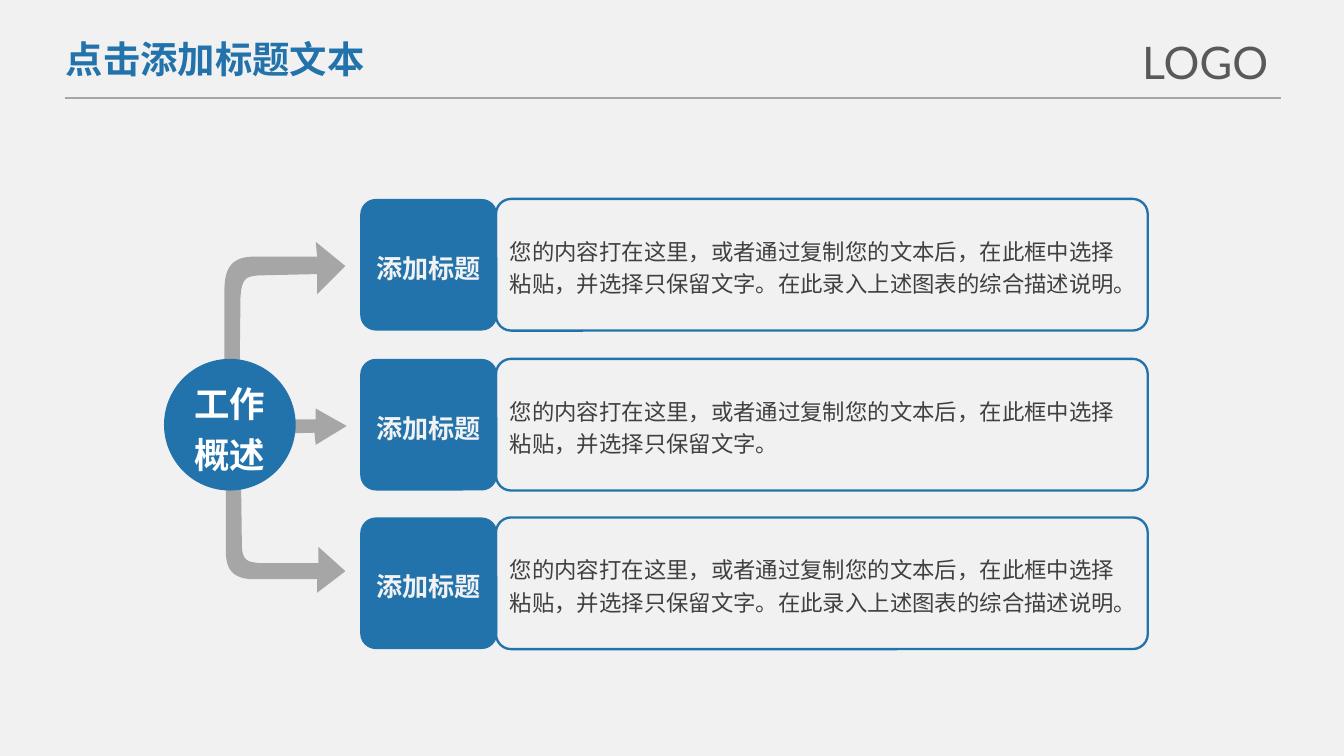
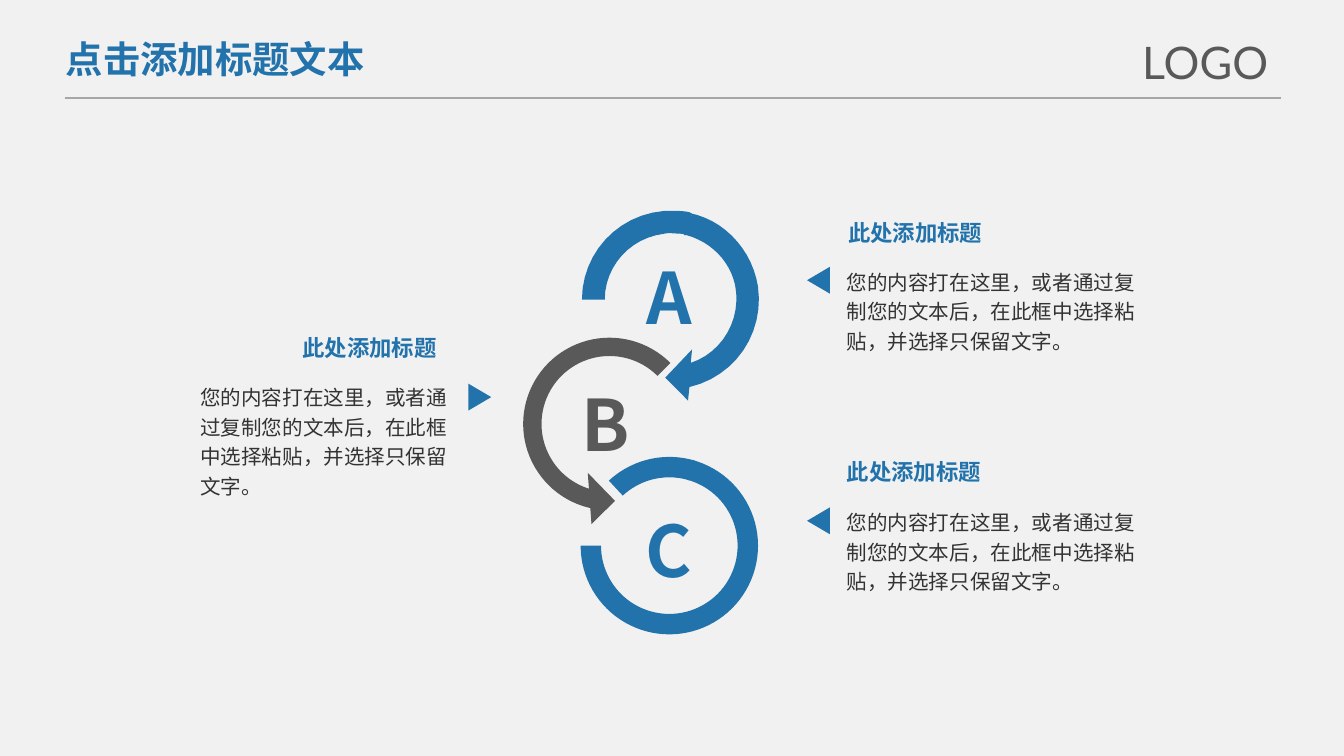
from lxml import etree
from pptx import Presentation
from pptx.dml.color import RGBColor
from pptx.enum.shapes import MSO_CONNECTOR, MSO_SHAPE
from pptx.enum.text import MSO_ANCHOR, PP_ALIGN
from pptx.oxml.ns import qn
from pptx.util import Inches, Pt

LEFT, CENTER, RIGHT = PP_ALIGN.LEFT, PP_ALIGN.CENTER, PP_ALIGN.RIGHT
TOP, MIDDLE = MSO_ANCHOR.TOP, MSO_ANCHOR.MIDDLE
STRAIGHT = MSO_CONNECTOR.STRAIGHT
ROUNDED, OVAL = MSO_SHAPE.ROUNDED_RECTANGLE, MSO_SHAPE.OVAL
TRIANGLE, BLOCK_ARC = MSO_SHAPE.ISOSCELES_TRIANGLE, MSO_SHAPE.BLOCK_ARC
LEFT_CIRCULAR_ARROW = MSO_SHAPE.LEFT_CIRCULAR_ARROW

# Theme
BLUE, GRAY, DARK = "2272AB", "A6A6A6", "595959"
BACKGROUND, LIGHT, WHITE = "F1F1F1", "F2F2F2", "FFFFFF"
CARD_TEXT, NOTE_TEXT = "404040", "333333"
CJK, ARIAL, LATO = "Noto Sans CJK SC", "Arial", "Lato"
SNUG, SPACED = 1.2, 1.44  # line pitch as a multiple of the text size
SHAPE_INSETS, BOX_INSETS, NOTE_INSETS = (0.07, 0.03), (0.1, 0.05), (0.07, 0.04)

BODY = "您的内容打在这里，或者通过复制您的文本后，在此框中选择粘贴，并选择只保留文字。"
LONG_BODY = BODY + "在此录入上述图表的综合描述说明。"

# Outlines in inches: two numbers make a line, six a cubic curve
ARROW_DOWN = [
    (1.79, 3.31), (1.8, 4.05), (1.8, 4.18, 1.85, 4.18, 1.93, 4.19),
    (2.37, 4.19), (2.37, 4.07), (2.57, 4.25), (2.36, 4.41), (2.36, 4.31),
    (2.36, 4.31, 2.07, 4.31, 1.9, 4.31), (1.73, 4.31, 1.68, 4.24, 1.68, 4.09),
    (1.68, 3.29), (1.69, 3.16, 1.76, 3.17, 1.79, 3.31)]
ARROW_MIDDLE = [(1.51, 3.24), (2.34, 3.22), (2.35, 3.31), (2.58, 3.17),
                (2.35, 3.04), (2.35, 3.12), (1.51, 3.12)]
ARROW_UP = [
    (1.78, 3.07), (1.79, 2.21), (1.8, 2.06, 1.84, 2.06, 1.92, 2.05),
    (2.36, 2.04), (2.36, 2.19), (2.57, 1.98), (2.35, 1.8), (2.36, 1.91),
    (2.36, 1.91, 2.06, 1.91, 1.89, 1.91), (1.73, 1.91, 1.67, 1.99, 1.67, 2.16),
    (1.67, 3.09), (1.69, 3.24, 1.76, 3.23, 1.78, 3.07)]
RING_A_ARROW = [
    (5.15, 1.59), (5.19, 1.6), (5.42, 1.67, 5.6, 1.88, 5.64, 2.13),
    (5.69, 2.48, 5.47, 2.8, 5.13, 2.88), (5.12, 2.98), (4.95, 2.81),
    (5.15, 2.6), (5.14, 2.7), (5.38, 2.62, 5.52, 2.37, 5.47, 2.12),
    (5.43, 1.94, 5.29, 1.8, 5.11, 1.75), (5.09, 1.75)]
RING_A_TAIL = [
    (5.01, 1.57), (5.05, 1.57, 5.09, 1.57, 5.13, 1.58), (5.15, 1.59),
    (5.1, 1.75), (5.08, 1.74), (5.03, 1.74, 4.98, 1.73, 4.94, 1.74),
    (4.69, 1.77, 4.5, 1.98, 4.5, 2.23), (4.33, 2.23),
    (4.33, 1.89, 4.59, 1.6, 4.94, 1.57), (4.96, 1.57, 4.98, 1.57, 5.01, 1.57)]


def color(hex_value):
    return RGBColor.from_string(hex_value)


def paint(sp, fill=None, line=None, width=1.25):
    sp.shadow.inherit = False
    if fill:
        sp.fill.solid()
        sp.fill.fore_color.rgb = color(fill)
    else:
        sp.fill.background()
    if line:
        sp.line.color.rgb = color(line)
        sp.line.width = Pt(width)
    else:
        sp.line.fill.background()


def write(sp, lines, size, hex_value, font=CJK, bold=False, align=LEFT,
          anchor=TOP, insets=BOX_INSETS, pitch=None):
    tf = sp.text_frame
    tf.word_wrap = True
    tf.vertical_anchor = anchor
    tf.margin_left = tf.margin_right = Inches(insets[0])
    tf.margin_top = tf.margin_bottom = Inches(insets[1])
    for i, text in enumerate(lines):
        p = tf.add_paragraph() if i else tf.paragraphs[0]
        p.alignment = align
        if pitch:
            p.line_spacing = Pt(round(size * pitch, 1))
        r = p.add_run()
        r.text = text
        r.font.name = font
        r.font.size = Pt(size)
        r.font.bold = bold
        r.font.color.rgb = color(hex_value)
        ea = etree.SubElement(r.font._element, qn("a:ea"))
        ea.set("typeface", font)


def add_text(slide, box, text, size, hex_value, **style):
    sp = slide.shapes.add_textbox(*map(Inches, box))
    write(sp, [text], size, hex_value, **style)


def add_preset(slide, kind, box, fill=None, line=None, adjustments=()):
    sp = slide.shapes.add_shape(kind, *map(Inches, box))
    for i, value in enumerate(adjustments):
        sp.adjustments[i] = value
    paint(sp, fill, line)
    return sp


def curve_points(start, curve, steps=12):
    pts = [start, curve[:2], curve[2:4], curve[4:]]
    for i in range(1, steps + 1):
        t = i / steps
        weights = ((1 - t) ** 3, 3 * t * (1 - t) ** 2, 3 * t * t * (1 - t), t ** 3)
        yield tuple(sum(w * pt[axis] for w, pt in zip(weights, pts))
                    for axis in (0, 1))


def add_outline(slide, outline, fill):
    points = [outline[0]]
    for step in outline[1:]:
        points.extend([step] if len(step) == 2 else curve_points(points[-1], step))
    points = [(Inches(x), Inches(y)) for x, y in points]
    builder = slide.shapes.build_freeform(*points[0])
    builder.add_line_segments(points[1:], close=True)
    paint(builder.convert_to_shape(), fill)


def add_base_slide(prs):
    slide = prs.slides.add_slide(prs.slide_layouts[6])
    slide.background.fill.solid()
    slide.background.fill.fore_color.rgb = color(BACKGROUND)
    rule = slide.shapes.add_connector(
        STRAIGHT, Inches(0.48), Inches(0.73), Inches(9.53), Inches(0.73))
    rule.line.color.rgb = color(GRAY)
    rule.line.width = Pt(1)
    etree.SubElement(rule._element.spPr, qn("a:effectLst"))
    add_text(slide, (0.39, 0.22, 2.45, 0.44), "点击添加标题文本", 20, BLUE,
             bold=True, pitch=SNUG)
    add_text(slide, (8.4, 0.21, 1.25, 0.5), "LOGO", 24, DARK, font=LATO)
    return slide


def add_card(slide, top, body):
    style = dict(anchor=MIDDLE, insets=SHAPE_INSETS, pitch=SPACED)
    sp = add_preset(slide, ROUNDED, (3.69, top, 4.85, 0.98), line=BLUE,
                    adjustments=[0.115])
    write(sp, [body], 12, CARD_TEXT, **style)
    sp = add_preset(slide, ROUNDED, (2.68, top, 1.02, 0.98), BLUE,
                    adjustments=[0.119])
    write(sp, ["添加标题"], 14, LIGHT, bold=True, align=CENTER, **style)


def add_note(slide, heading_at, body_box, pointer_at, rotation, align=LEFT):
    add_text(slide, (*heading_at, 1.16, 0.28), "此处添加标题", 12, BLUE,
             bold=True, align=align, insets=NOTE_INSETS, pitch=SNUG)
    add_preset(slide, TRIANGLE, (*pointer_at, 0.2, 0.17), BLUE).rotation = rotation
    add_text(slide, body_box, BODY, 11, NOTE_TEXT, insets=NOTE_INSETS, pitch=SPACED)


def build_overview(prs):
    slide = add_base_slide(prs)
    for outline in (ARROW_DOWN, ARROW_MIDDLE, ARROW_UP):
        add_outline(slide, outline, GRAY)
    for top, body in ((1.48, LONG_BODY), (2.67, BODY), (3.85, LONG_BODY)):
        add_card(slide, top, body)
    hub = add_preset(slide, OVAL, (1.22, 2.67, 0.98, 0.98), BLUE)
    write(hub, ["工作", "概述"], 19, WHITE, font=ARIAL, bold=True, align=CENTER,
          anchor=MIDDLE, insets=SHAPE_INSETS, pitch=SPACED)


def build_rings(prs):
    slide = add_base_slide(prs)
    # Notes on both sides
    add_note(slide, (6.24, 1.59), (6.23, 1.93, 2.31, 0.74), (5.99, 2), 270)
    add_note(slide, (6.23, 3.37), (6.23, 3.72, 2.31, 0.74), (5.99, 3.79), 270)
    add_note(slide, (2.16, 2.45), (1.42, 2.79, 2, 0.96), (3.47, 2.87), 90, RIGHT)
    # Linked rings
    add_preset(slide, LEFT_CIRCULAR_ARROW, (3.77, 2.39, 1.53, 1.53), DARK,
               adjustments=[0.089, 11.423, 62.936, 189, 0.125])
    for start, end in ((136.244, 172.282), (170.851, 108)):
        add_preset(slide, BLOCK_ARC, (4.32, 3.4, 1.32, 1.32), BLUE,
                   adjustments=[start, end, 0.115])
    add_outline(slide, RING_A_ARROW, BLUE)
    add_outline(slide, RING_A_TAIL, BLUE)
    # Letters
    for letter, left, top, hex_value in (("A", 4.74, 1.85, BLUE),
                                         ("B", 4.26, 2.79, DARK),
                                         ("C", 4.73, 3.73, BLUE)):
        add_text(slide, (left, top, 0.55, 0.72), letter, 38, hex_value,
                 bold=True, insets=NOTE_INSETS, pitch=SNUG)


def main():
    prs = Presentation()
    prs.slide_width = Inches(10)
    prs.slide_height = prs.slide_width * 9 // 16
    build_overview(prs)
    build_rings(prs)
    prs.save("out.pptx")


if __name__ == "__main__":
    main()
